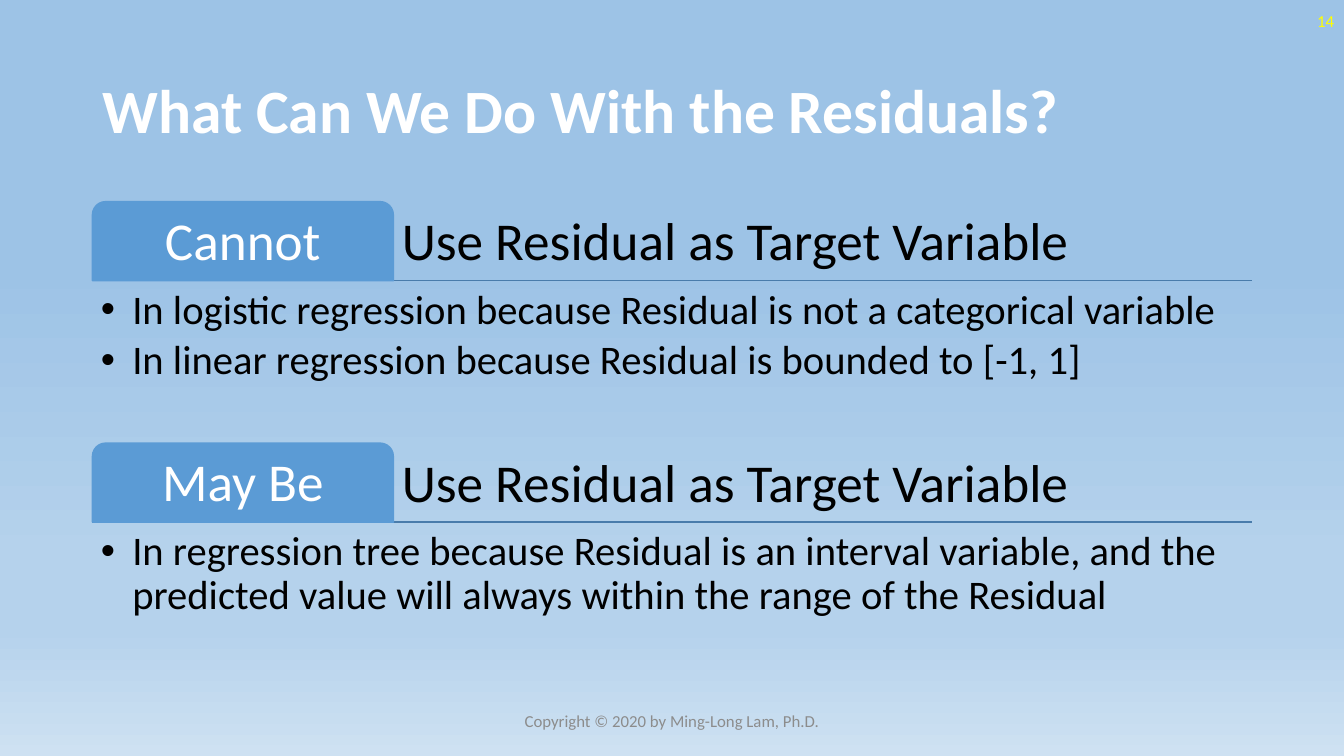
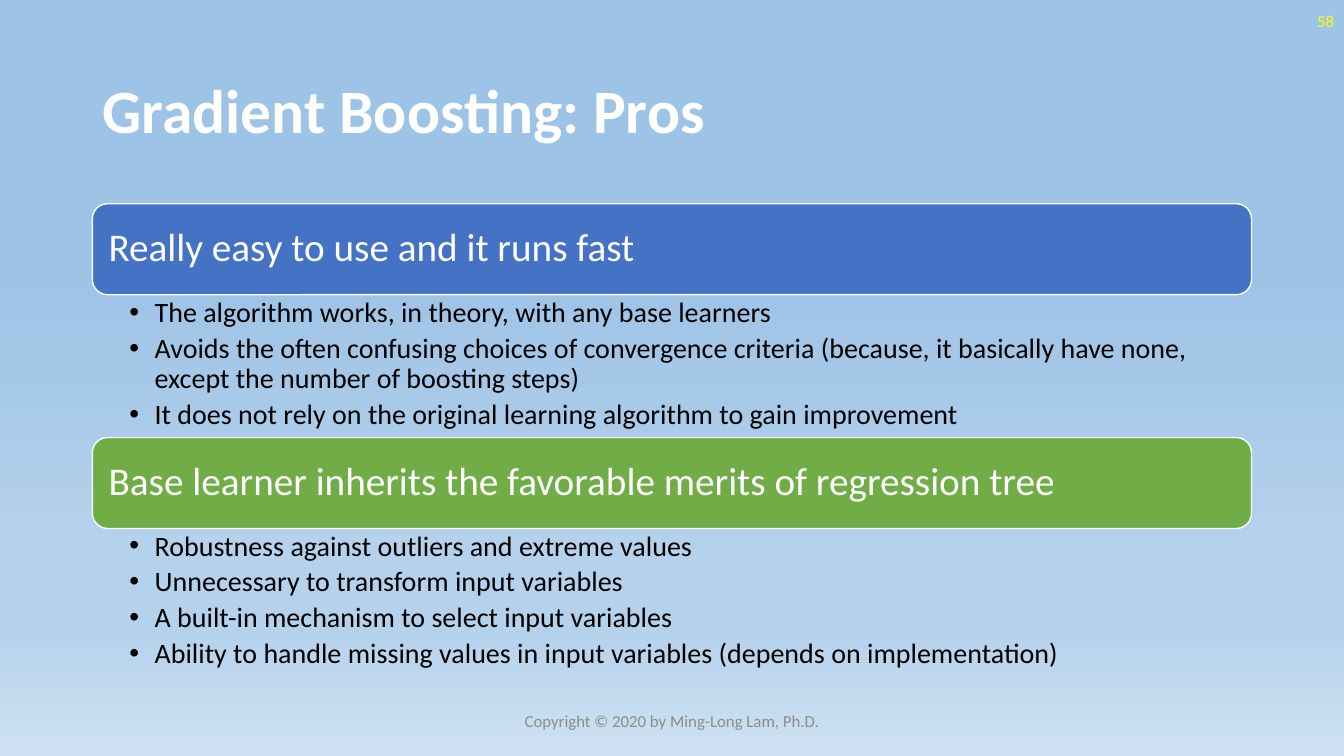
from dataclasses import dataclass

from lxml.etree import SubElement
from pptx import Presentation
from pptx.dml.color import RGBColor as Color
from pptx.enum.shapes import MSO_CONNECTOR as Connector, MSO_SHAPE as Shape
from pptx.enum.text import MSO_ANCHOR as Anchor, MSO_AUTO_SIZE as AutoSize, PP_ALIGN as Align
from pptx.oxml.ns import qn
from pptx.util import Pt


@dataclass(frozen=True)
class Theme:
    font: str = "Calibri"
    white: str = "FFFFFF"
    black: str = "000000"
    page_number: str = "FFFF00"
    footer: str = "8C8C8C"
    tab: str = "5B9BD5"
    rule: str = "497CAB"
    blue: str = "4472C4"
    green: str = "70AD47"
    sky: tuple = ((35, "9DC3E6"), (74, "B5D2EC"), (83, "B5D2EC"), (100, "CEE1F2"))
    title_size: int = 44
    tab_size: int = 38
    tab_bullet_size: int = 29
    bar_size: int = 28
    bar_bullet_size: int = 20
    small_size: int = 12


THEME = Theme()
LEFT, WIDTH = 66, 828
DEFAULT_INSETS = (7.2, 3.6, 7.2, 3.6)
TAB_INSETS = (6, 6, 6, 6)
BAR_INSETS = (8.5, 8.5, 8.5, 8.5)
COPYRIGHT = "Copyright © 2020 by Ming-Long Lam, Ph.D."


def paint_background(master):
    fill = master.background.fill
    fill.gradient()
    fill.gradient_angle = 270
    stops = master.element.find(".//" + qn("a:gsLst"))
    for stop in list(stops):
        stops.remove(stop)
    for position, color in THEME.sky:
        stop = SubElement(stops, qn("a:gs"), pos=str(position * 1000))
        SubElement(stop, qn("a:srgbClr"), val=color)


def add_bullet(para, indent):
    properties = para._p.get_or_add_pPr()
    properties.set("marL", str(Pt(indent)))
    properties.set("indent", str(-Pt(indent)))
    SubElement(properties, qn("a:buFont"), typeface="Arial")
    SubElement(properties, qn("a:buChar"), char="•")


def write(shape, lines, size, color, align=Align.LEFT, anchor=Anchor.MIDDLE,
          insets=DEFAULT_INSETS, spacing=0.9, bold=False, indent=0, gap=0):
    frame = shape.text_frame
    frame.word_wrap = True
    frame.auto_size = AutoSize.NONE
    frame.vertical_anchor = anchor
    (frame.margin_left, frame.margin_top,
     frame.margin_right, frame.margin_bottom) = map(Pt, insets)
    frame.text = "\n".join(lines)
    for para in frame.paragraphs:
        if indent:
            add_bullet(para, indent)
        para.alignment = align
        para.line_spacing = spacing
        para.space_before = Pt(0)
        para.space_after = Pt(gap)
        for span in para.runs:
            span.font.name = THEME.font
            span.font.size = Pt(size)
            span.font.bold = bold
            span.font.color.rgb = Color.from_string(color)


def add_text(page, place, lines, size, color, **style):
    box = page.shapes.add_textbox(*map(Pt, place))
    write(box, lines, size, color, **style)


def add_panel(page, kind, place, fill, line, label, size, **style):
    panel = page.shapes.add_shape(kind, *map(Pt, place))
    panel.shadow.inherit = False
    panel.fill.solid()
    panel.fill.fore_color.rgb = Color.from_string(fill)
    panel.line.color.rgb = Color.from_string(line)
    panel.line.width = Pt(1)
    write(panel, [label], size, THEME.white, **style)


def add_rule(page, top):
    rule = page.shapes.add_connector(
        Connector.STRAIGHT, Pt(LEFT), Pt(top), Pt(LEFT + WIDTH), Pt(top))
    rule.line.color.rgb = Color.from_string(THEME.rule)
    rule.line.width = Pt(1)
    SubElement(rule._element.spPr, qn("a:effectLst"))


def add_page(deck, title, number):
    page = deck.slides.add_slide(deck.slide_layouts[5])
    heading = page.shapes.title
    heading.left, heading.top, heading.width, heading.height = map(Pt, (LEFT, 29, WIDTH, 104))
    write(heading, [title], THEME.title_size, THEME.white, bold=True)
    add_text(page, (744, 0, 216, 29), [str(number)], THEME.small_size,
             THEME.page_number, align=Align.RIGHT, spacing=1)
    add_text(page, (318, 500.5, 324, 29), [COPYRIGHT], THEME.small_size,
             THEME.footer, align=Align.CENTER, spacing=1)
    return page


def add_tab_section(page, top, label, heading, bullets):
    tab_width, tab_height = 215, 56.5
    bottom = top + tab_height
    add_rule(page, bottom)
    add_text(page, (LEFT + tab_width, top, WIDTH - tab_width, tab_height), [heading],
             THEME.tab_size, THEME.black, anchor=Anchor.BOTTOM, insets=TAB_INSETS)
    add_panel(page, Shape.ROUND_2_SAME_RECTANGLE, (LEFT, top, tab_width, tab_height),
              THEME.tab, THEME.tab, label, THEME.tab_size,
              align=Align.CENTER, insets=TAB_INSETS)
    add_text(page, (LEFT, bottom, WIDTH, 113), bullets, THEME.tab_bullet_size, THEME.black,
             anchor=Anchor.TOP, insets=TAB_INSETS, indent=22.5, gap=5)


def add_bar_section(page, top, fill, label, bullets):
    bar_height = 65
    add_panel(page, Shape.ROUNDED_RECTANGLE, (LEFT, top, WIDTH, bar_height),
              fill, THEME.white, label, THEME.bar_size, insets=BAR_INSETS)
    add_text(page, (LEFT, top + bar_height, WIDTH, 102), bullets, THEME.bar_bullet_size,
             THEME.black, anchor=Anchor.TOP, insets=(26.5, 2.5, 11.5, 2.5), indent=18, gap=4)


def main():
    deck = Presentation()
    deck.slide_width, deck.slide_height = Pt(960), Pt(540)
    paint_background(deck.slide_master)

    residuals = add_page(deck, "What Can We Do With the Residuals?", 14)
    tab_sections = (
        ("Cannot", (
            "In logistic regression because Residual is not a categorical variable",
            "In linear regression because Residual is bounded to [-1, 1]")),
        ("May Be", (
            "In regression tree because Residual is an interval variable, and the "
            "predicted value will always within the range of the Residual",)),
    )
    for row, (label, bullets) in enumerate(tab_sections):
        add_tab_section(residuals, 144 + 172.5 * row, label,
                        "Use Residual as Target Variable", bullets)

    pros = add_page(deck, "Gradient Boosting: Pros", 58)
    bar_sections = (
        (THEME.blue, "Really easy to use and it runs fast", (
            "The algorithm works, in theory, with any base learners",
            "Avoids the often confusing choices of convergence criteria (because, "
            "it basically have none, except the number of boosting steps)",
            "It does not rely on the original learning algorithm to gain improvement")),
        (THEME.green, "Base learner inherits the favorable merits of regression tree", (
            "Robustness against outliers and extreme values",
            "Unnecessary to transform input variables",
            "A built-in mechanism to select input variables",
            "Ability to handle missing values in input variables (depends on implementation)")),
    )
    for row, (fill, label, bullets) in enumerate(bar_sections):
        add_bar_section(pros, 145.5 + 167 * row, fill, label, bullets)

    deck.save("out.pptx")


if __name__ == "__main__":
    main()
